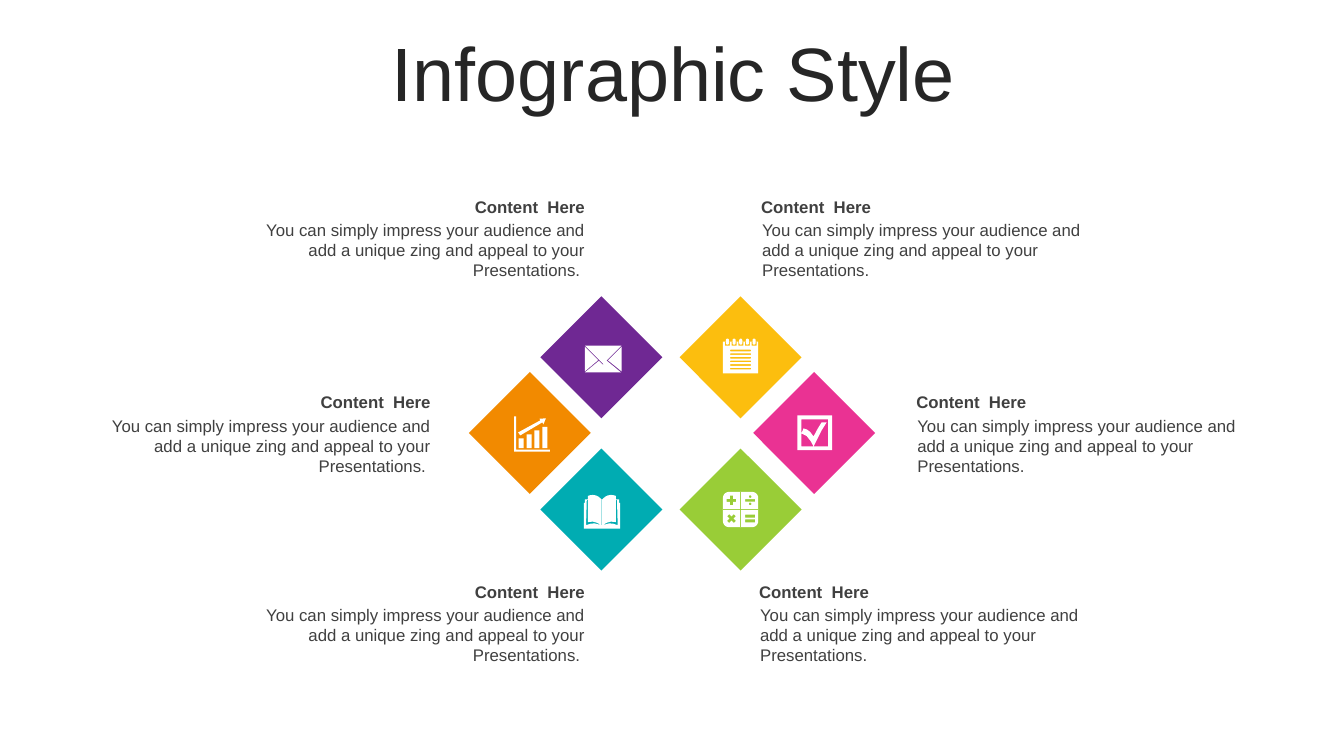
from dataclasses import dataclass
from math import cos, pi, sin

from pptx import Presentation
from pptx.dml.color import RGBColor
from pptx.enum.shapes import MSO_SHAPE
from pptx.enum.text import MSO_ANCHOR, MSO_AUTO_SIZE, PP_ALIGN
from pptx.util import Inches, Pt

DIAMOND = MSO_SHAPE.DIAMOND
MIDDLE, TOP = MSO_ANCHOR.MIDDLE, MSO_ANCHOR.TOP
LEFT, CENTER, RIGHT = PP_ALIGN.LEFT, PP_ALIGN.CENTER, PP_ALIGN.RIGHT
GROW, FIXED = MSO_AUTO_SIZE.SHAPE_TO_FIT_TEXT, MSO_AUTO_SIZE.NONE
TITLE_ONLY = 5


@dataclass(frozen=True)
class Theme:
    font: str = "Arial"
    title_size: int = 54
    text_size: int = 12
    title: str = "262626"
    text: str = "404040"
    icon: str = "FFFFFF"
    purple: str = "6F2893"
    yellow: str = "FCBE0E"
    pink: str = "EA3293"
    green: str = "99CD37"
    teal: str = "00ACB2"
    orange: str = "F28A00"


THEME = Theme()
DIAMOND_SIZE = 1.21
HEADING = "Content  Here"
MESSAGE = ("You can simply impress your audience and add a unique zing "
           "and appeal to your Presentations.")


def rectangle(left, top, width, height):
    right, bottom = left + width, top + height
    return [(left, top), (right, top), (right, bottom), (left, bottom)]


def rounded(left, top, width, height, radius, steps=6):
    right, bottom = left + width - radius, top + height - radius
    corners = [(right, bottom), (left + radius, bottom),
               (left + radius, top + radius), (right, top + radius)]
    angles = [[(quarter + step / steps) * pi / 2 for step in range(steps + 1)]
              for quarter in range(4)]
    return [(x + radius * cos(angle), y + radius * sin(angle))
            for (x, y), turns in zip(corners, angles) for angle in turns]


def cross(x, y, arm, half, angle=0.0):
    corner = [(arm, -half), (arm, half), (half, half)]
    turns = [angle + quarter * pi / 2 for quarter in range(4)]
    return [(x + a * cos(turn) - b * sin(turn), y + a * sin(turn) + b * cos(turn))
            for turn in turns for a, b in corner]


def envelope_icon():
    return [[(22, 15), (36, 26.5), (0, 26.5), (14, 15), (18, 18.8)],
            [(36.5, 1), (36.5, 25.5), (23, 14.5)],
            [(0, 1), (13.3, 14.3), (0, 25.5)],
            [(0.3, 0), (36.2, 0), (18.2, 18)]]


def notepad_icon():
    contours = [rectangle(0, 3, 35, 31.5)]
    for ring in range(5):
        left = 2 + 6.6 * ring
        contours += [rectangle(left, 3, 5, 4), rounded(left + 1, 0, 3, 6, 1.5)]
    contours += [rounded(7, 11 + 3.6 * line, 21, 1.6, 0.8) for line in range(6)]
    return contours


def chart_icon():
    bars = [rectangle(4.5 + 7.8 * bar, top, 5, 31.5 - top)
            for bar, top in enumerate((22, 18, 14, 10.5))]
    arrow = [(25, 2.5), (31.5, 2), (29, 8), (28, 6), (6, 19), (4, 16), (26, 4)]
    axes = [(0, 0), (2, 0), (2, 33), (35.5, 33), (35.5, 35), (0, 35)]
    return bars + [arrow, axes]


def calculator_icon():
    return [rounded(0, 0, 35, 35, 6), cross(17.5, 17.5, 17.5, 0.5),
            cross(8.5, 8.5, 4.7, 1.5), cross(8.5, 26.5, 4.7, 1.5, pi / 4),
            rectangle(22, 7.2, 10, 2.6), rounded(25.7, 3.4, 2.6, 2.6, 1.3),
            rounded(25.7, 10.6, 2.6, 2.6, 1.3),
            rectangle(22, 22.5, 10, 3), rectangle(22, 27.3, 10, 3)]


def book_icon():
    def mirrored(points):
        return [(36 - x, y) for x, y in reversed(points)]

    edge = [(0, 33.5), (0, 8), (1, 8), (1, 4.5), (4, 4.5), (4, 1),
            (6.5, 0.3), (9, 0), (12, 0.5), (15, 2), (17.7, 4.5)]
    page_rim = [(4, 5), (3, 5), (2.3, 30), (7, 28.5), (11, 28.3), (17.5, 30),
                (13, 27.6), (9, 26.5), (4, 27)]
    return [edge + mirrored(edge), page_rim, mirrored(page_rim),
            rectangle(17.7, 4.5, 0.6, 25.5)]


def checkbox_icon():
    tick = [(4, 18), (6, 13), (9.5, 14.2), (12.5, 16.5), (16, 21), (20, 13.5),
            (24, 7), (29, 7), (24, 15), (16, 31), (13, 25.5), (9, 20.5)]
    return [rectangle(0, 0, 34.5, 34.5), rectangle(4, 4, 26.5, 27), tick]


def paint(shape, color):
    shape.shadow.inherit = False
    shape.fill.solid()
    shape.fill.fore_color.rgb = RGBColor.from_string(color)
    shape.line.fill.background()


def write(box, text, align, anchor, size, color, bold=False):
    frame = box.text_frame
    frame.word_wrap = True
    frame.vertical_anchor = anchor
    frame.text = text
    para = frame.paragraphs[0]
    para.alignment = align
    font = para.runs[0].font
    font.name, font.size, font.bold = THEME.font, Pt(size), bold
    font.color.rgb = RGBColor.from_string(color)


def add_title(page, left, top, width, height):
    box = page.shapes.title
    box.left, box.top = Inches(left), Inches(top)
    box.width, box.height = Inches(width), Inches(height)
    write(box, "Infographic Style", CENTER, MIDDLE, THEME.title_size, THEME.title)
    box.text_frame.auto_size = FIXED
    box.text_frame.paragraphs[0].line_spacing = 0.9


def add_icon(page, left, top, contours):
    builder = None
    for contour in contours:
        points = [(Inches(x / 100), Inches(y / 100)) for x, y in contour]
        if builder is None:
            builder = page.shapes.build_freeform(*points[0])
        else:
            builder.move_to(*points[0])
        builder.add_line_segments(points[1:], close=True)
    paint(builder.convert_to_shape(Inches(left), Inches(top)), THEME.icon)


def add_tile(page, left, top, color, contours, inset):
    size = Inches(DIAMOND_SIZE)
    paint(page.shapes.add_shape(DIAMOND, Inches(left), Inches(top), size, size), color)
    add_icon(page, left + inset[0], top + inset[1], contours)


def add_caption(page, left, top, align):
    message = MESSAGE + " " if align == RIGHT else MESSAGE
    parts = [(0, 0, 3.53, 0.3, HEADING, MIDDLE, True),
             (0.01, 0.23, 3.52, 0.71, message, TOP, False)]
    for x, y, width, height, text, anchor, bold in parts:
        box = page.shapes.add_textbox(Inches(left + x), Inches(top + y),
                                      Inches(width), Inches(height))
        write(box, text, align, anchor, THEME.text_size, THEME.text, bold)
        box.text_frame.auto_size = GROW


def build_infographic(page):
    add_title(page, 0.35, 0.37, 12.66, 0.79)
    upper, center, lower = 2.94, 3.69, 4.45
    tiles = [(5.36, upper, THEME.purple, envelope_icon(), (0.44, 0.49)),
             (6.74, upper, THEME.yellow, notepad_icon(), (0.43, 0.42)),
             (7.47, center, THEME.pink, checkbox_icon(), (0.44, 0.43)),
             (6.74, lower, THEME.green, calculator_icon(), (0.43, 0.43)),
             (5.36, lower, THEME.teal, book_icon(), (0.43, 0.46)),
             (4.65, center, THEME.orange, chart_icon(), (0.45, 0.44))]
    for tile in tiles:
        add_tile(page, *tile)
    for top, left_side, right_side in [(1.9, 2.37, 7.45), (3.84, 0.84, 8.99),
                                       (5.72, 2.37, 7.43)]:
        add_caption(page, left_side, top, RIGHT)
        add_caption(page, right_side, top, LEFT)


def main():
    deck = Presentation()
    deck.slide_width, deck.slide_height = Inches(13.33), Inches(7.5)
    build_infographic(deck.slides.add_slide(deck.slide_layouts[TITLE_ONLY]))
    deck.save("out.pptx")


if __name__ == "__main__":
    main()
